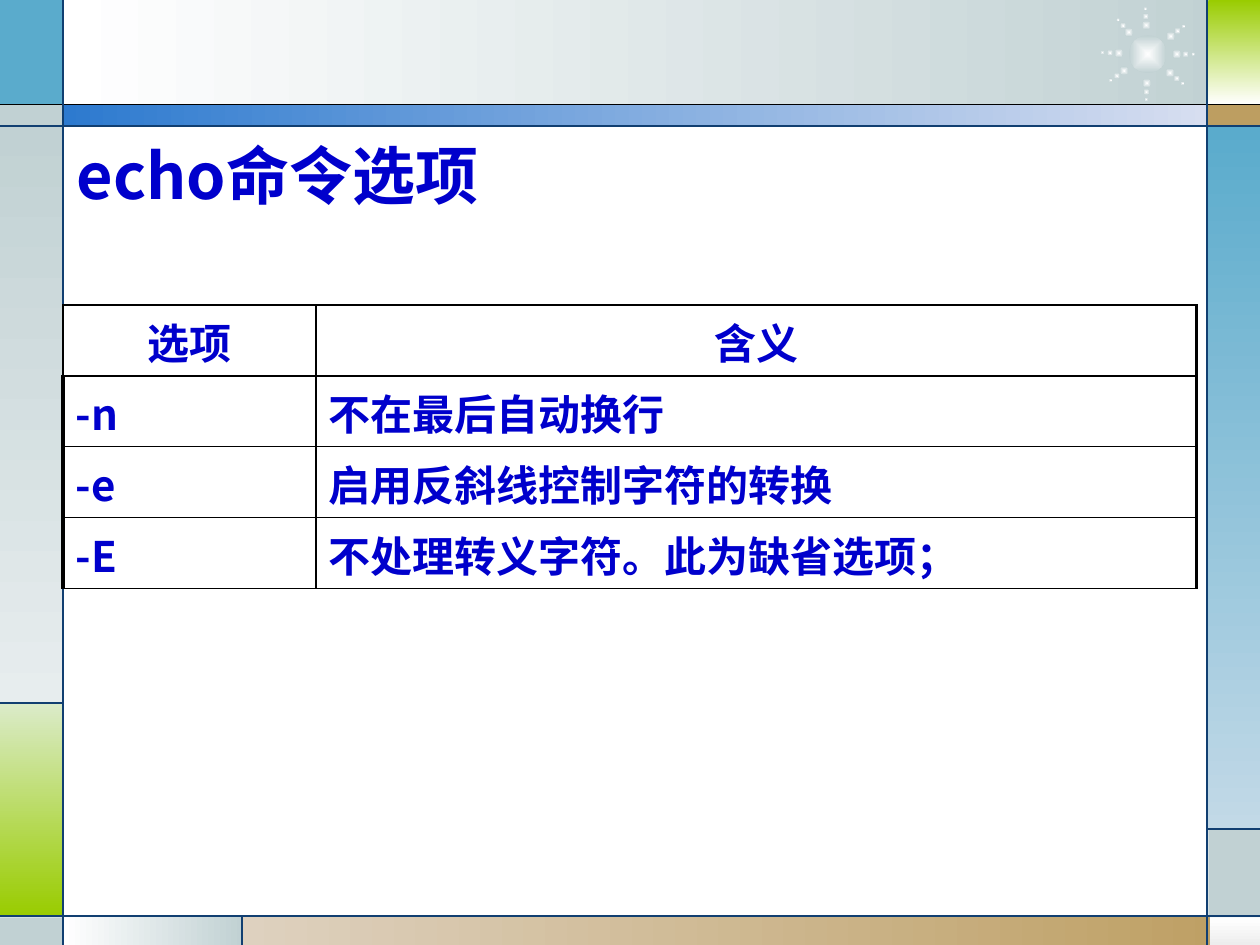
from dataclasses import dataclass
from math import cos, radians, sin

from lxml.etree import SubElement
from pptx import Presentation
from pptx.dml.color import RGBColor
from pptx.enum.shapes import MSO_CONNECTOR, MSO_SHAPE
from pptx.enum.text import MSO_ANCHOR, PP_ALIGN
from pptx.oxml.ns import qn
from pptx.util import Inches, Pt

FONT = "Noto Sans CJK SC"
TEXT_BLUE = "0000CC"
LINE_BLUE = "113F71"
MIST = "C1D1D3"
WHITE = "FFFFFF"
SKY = "5AABCC"
LIME = "99CC00"
TAN = "BD9E61"


@dataclass
class Panel:
    left: float
    top: float
    width: float
    height: float
    start: str
    end: str = ""  # empty for a solid fill
    angle: int = 0  # counter-clockwise; 270 runs downwards


@dataclass
class Rule:
    x1: float
    y1: float
    x2: float
    y2: float
    color: str = LINE_BLUE


DOWN = 270
PANELS = [
    Panel(0.5, 0, 9.27, 0.84, WHITE, MIST),
    Panel(0, 0, 0.5, 0.84, SKY),
    Panel(0, 0.83, 0.5, 0.17, MIST),
    Panel(0, 1, 0.5, 4.58, MIST, "E7EDEE", DOWN),
    Panel(0, 5.58, 0.5, 1.69, "DBEBC9", LIME, DOWN),
    Panel(0, 7.28, 0.5, 0.22, MIST),
    Panel(0.5, 7.27, 1.43, 0.23, WHITE, MIST),
    Panel(1.92, 7.27, 8.08, 0.23, "DED1BF", TAN),
    Panel(9.6, 7.28, 0.4, 0.22, WHITE, "EDEDED", DOWN),
    Panel(9.59, 6.58, 0.41, 0.7, MIST),
    Panel(9.58, 1, 0.42, 5.58, SKY, "C2D9E7", DOWN),
    Panel(9.58, 0.83, 0.42, 0.17, TAN),
    Panel(9.59, 0, 0.41, 0.83, LIME, WHITE, DOWN),
    Panel(0.5, 0.83, 9.09, 0.17, "2D7ACF", "D7DEF0"),
]
RULES = [
    Rule(0, 0.83, 10, 0.83, "000000"),
    Rule(0, 1, 10, 1),
    Rule(0, 7.27, 10, 7.27),
    Rule(0.5, 0, 0.5, 7.5),
    Rule(9.58, 0, 9.58, 7.5),
    Rule(0, 5.58, 0.5, 5.58),
    Rule(1.92, 7.27, 1.92, 7.5),
    Rule(9.58, 6.58, 10, 6.58),
]
BURST_CENTER = (9.11, 0.43)
BURST_ANGLES = (0, 40, 92, 145, 182, 229, 267, 322)
BURST_DOTS = ((0.23, 0.07), (0.3, 0.05), (0.36, 0.03))  # radius, diameter

OPTIONS = [
    ("选项", "含义"),
    ("-n", "不在最后自动换行"),
    ("-e", "启用反斜线控制字符的转换"),
    ("-E", "不处理转义字符。此为缺省选项；"),
]


def rgb(color: str) -> RGBColor:
    return RGBColor.from_string(color)


def set_gradient(fill, start: str, end: str, angle: int) -> None:
    fill.gradient()
    fill.gradient_angle = angle
    for stop, color, position in zip(fill.gradient_stops, (start, end), (0, 1)):
        stop.color.rgb = rgb(color)
        stop.position = position


def add_panel(slide, panel: Panel, kind=MSO_SHAPE.RECTANGLE):
    shape = slide.shapes.add_shape(
        kind, Inches(panel.left), Inches(panel.top),
        Inches(panel.width), Inches(panel.height))
    shape.shadow.inherit = False
    shape.line.fill.background()
    if panel.end:
        set_gradient(shape.fill, panel.start, panel.end, panel.angle)
    else:
        shape.fill.solid()
        shape.fill.fore_color.rgb = rgb(panel.start)
    return shape


def add_glow(slide, x: float, y: float, diameter: float) -> None:
    """Draw a dot that fades from its centre outwards."""
    half = diameter / 2
    dot = add_panel(slide, Panel(x - half, y - half, diameter, diameter,
                                 WHITE, MIST), MSO_SHAPE.OVAL)
    gradient = dot.element.spPr.find(qn("a:gradFill"))
    gradient.remove(gradient.find(qn("a:lin")))
    radial = SubElement(gradient, qn("a:path"), path="shape")
    SubElement(radial, qn("a:fillToRect"),
               l="50000", t="50000", r="50000", b="50000")


def add_burst(slide) -> None:
    x, y = BURST_CENTER
    add_glow(slide, x, y, 0.3)
    for angle in map(radians, BURST_ANGLES):
        for radius, diameter in BURST_DOTS:
            add_glow(slide, x + radius * cos(angle), y + radius * sin(angle), diameter)


def add_rule(slide, rule: Rule) -> None:
    connector = slide.shapes.add_connector(
        MSO_CONNECTOR.STRAIGHT, Inches(rule.x1), Inches(rule.y1),
        Inches(rule.x2), Inches(rule.y2))
    connector.line.color.rgb = rgb(rule.color)
    connector.line.width = Pt(0.75)
    SubElement(connector.element.spPr, qn("a:effectLst"))


def add_run(paragraph, text: str, size: int) -> None:
    run = paragraph.add_run()
    run.text = text
    run.font.size = Pt(size)
    run.font.bold = True
    run.font.name = FONT
    run.font.color.rgb = rgb(TEXT_BLUE)
    SubElement(run.font._element, qn("a:ea"), typeface=FONT)


def add_title(slide, text: str) -> None:
    box = slide.shapes.add_textbox(Inches(0.51), Inches(1.07), Inches(7.33), Inches(0.62))
    frame = box.text_frame
    frame.word_wrap = True
    frame.vertical_anchor = MSO_ANCHOR.MIDDLE
    add_run(frame.paragraphs[0], text, 36)


def set_borders(cell, left: int, right: int) -> None:
    properties = cell._tc.get_or_add_tcPr()
    for side, width in (("L", left), ("R", right), ("T", 1), ("B", 1)):
        border = SubElement(properties, qn(f"a:ln{side}"), w=str(Pt(width)))
        fill = SubElement(border, qn("a:solidFill"))
        SubElement(fill, qn("a:srgbClr"), val="000000")


def add_options_table(slide) -> None:
    table = slide.shapes.add_table(
        len(OPTIONS), 2, Inches(0.5), Inches(2.42), Inches(9), Inches(2.25)).table
    table.first_row = False
    table.horz_banding = False
    for column, width in zip(table.columns, (2.01, 6.99)):
        column.width = Inches(width)
    for row_index, texts in enumerate(OPTIONS):
        for column_index, text in enumerate(texts):
            cell = table.cell(row_index, column_index)
            # Heavy outer edges, except beside the header's first cell
            set_borders(cell,
                        left=2 if row_index and column_index == 0 else 1,
                        right=2 if column_index == 1 else 1)
            cell.fill.background()
            paragraph = cell.text_frame.paragraphs[0]
            paragraph.alignment = PP_ALIGN.LEFT if row_index else PP_ALIGN.CENTER
            add_run(paragraph, text, 24)


def main() -> None:
    presentation = Presentation()
    presentation.slide_width = Inches(10)
    presentation.slide_height = Inches(7.5)
    slide = presentation.slides.add_slide(presentation.slide_layouts[6])

    # Frame around the page
    for panel in PANELS:
        add_panel(slide, panel)
    add_burst(slide)
    for rule in RULES:
        add_rule(slide, rule)

    # Content
    add_title(slide, "echo命令选项")
    add_options_table(slide)
    presentation.save("out.pptx")


if __name__ == "__main__":
    main()
